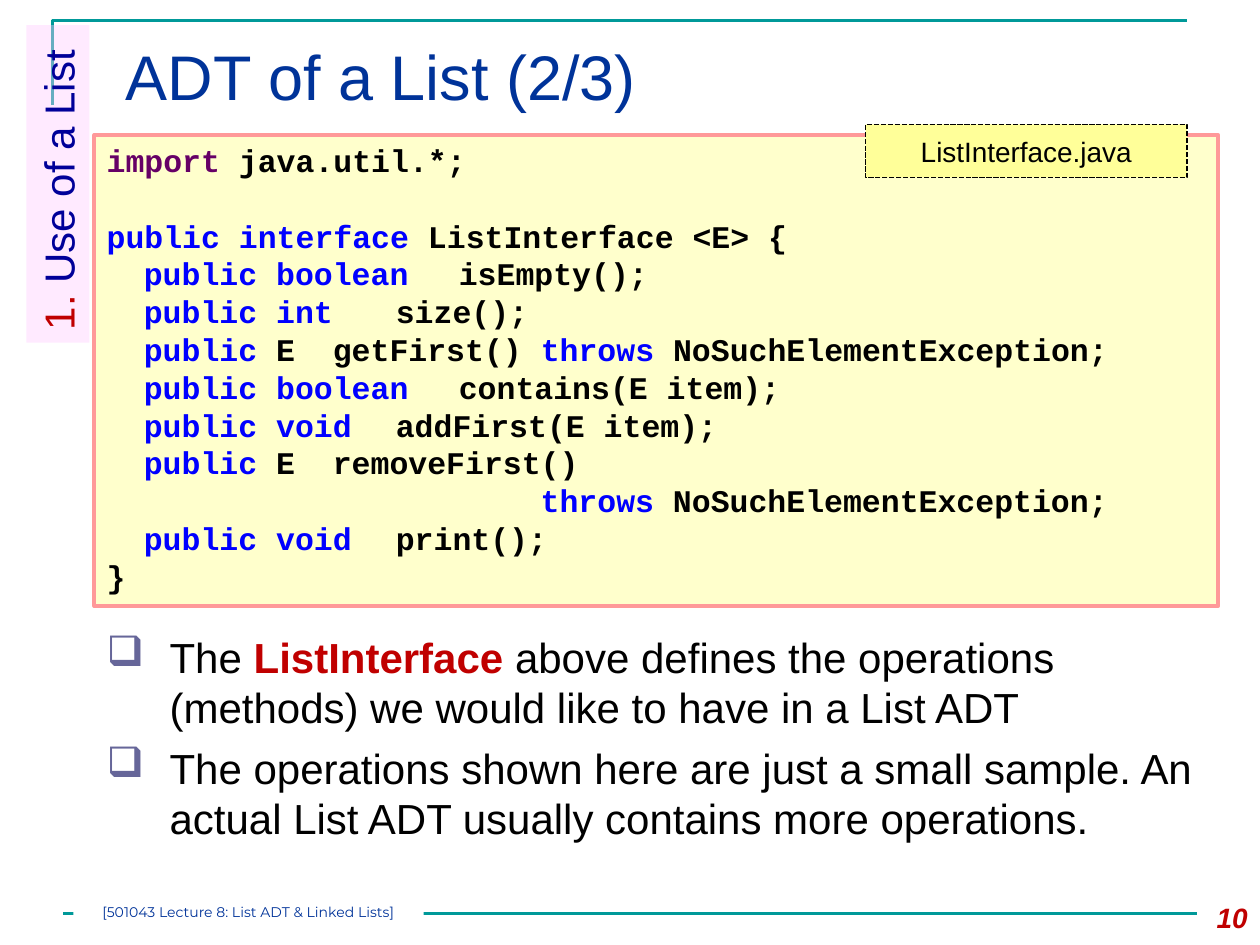
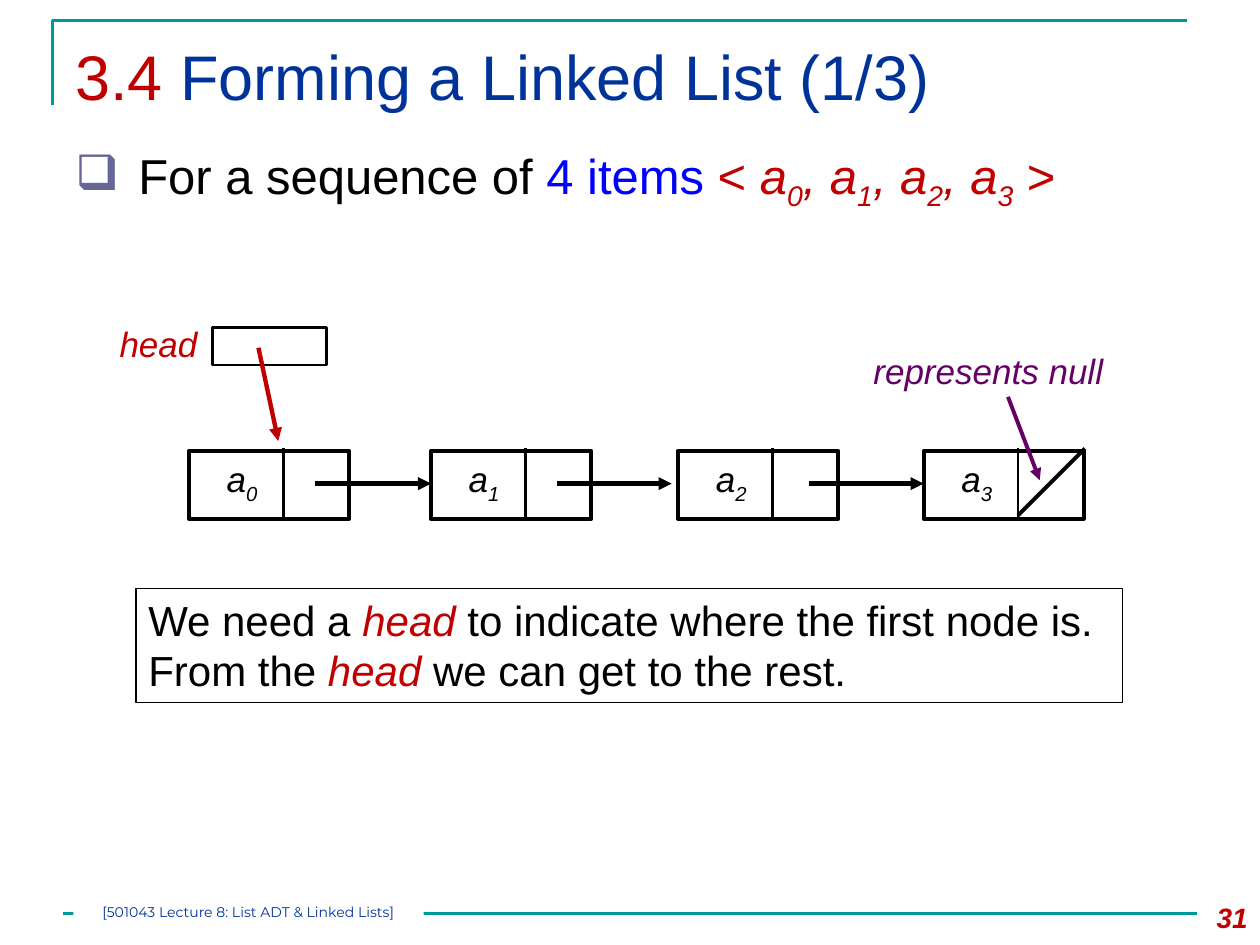
from lxml import etree
from pptx import Presentation
from pptx.dml.color import RGBColor as RGB
from pptx.enum.dml import MSO_LINE_DASH_STYLE as DASH
from pptx.enum.shapes import MSO_CONNECTOR as CONN, MSO_SHAPE as SHAPE
from pptx.enum.text import MSO_ANCHOR as ANCHOR, PP_ALIGN as ALIGN
from pptx.oxml.ns import qn
from pptx.util import Cm, Pt

TEAL = RGB(0x00, 0x99, 0x99)
NAVY = RGB(0x00, 0x33, 0x99)
DARK_BLUE = RGB(0x00, 0x00, 0x99)
BLUE = RGB(0x00, 0x00, 0xFF)
RED = RGB(0xC0, 0x00, 0x00)
PURPLE = RGB(0x66, 0x00, 0x66)
BLACK = RGB(0x00, 0x00, 0x00)
WHITE = RGB(0xFF, 0xFF, 0xFF)
PINK = RGB(0xFF, 0xCC, 0xFF)
SALMON = RGB(0xFF, 0x99, 0x99)
CREAM = RGB(0xFF, 0xFF, 0xCC)
YELLOW = RGB(0xFF, 0xFF, 0x99)
BULLET = RGB(0x66, 0x66, 0x99)

FOOTER = "[501043 Lecture 8: List ADT & Linked Lists]"
LEADING = 1.2          # line pitch as a multiple of the text size


# ---- Text: a run is (text, colour, flags); flags are b, i and _ (subscript)
def add_runs(p, runs, size, font="Arial"):
    p.line_spacing = Pt(size * LEADING)
    for text, color, *flags in runs:
        style = flags[0] if flags else ""
        r = p.add_run()
        r.text = text
        f = r.font
        f.name, f.size, f.color.rgb = font, Pt(size), color
        f.bold, f.italic = "b" in style, "i" in style
        if "_" in style:
            r._r.get_or_add_rPr().set("baseline", "-25000")


def fill_text(s, paragraphs, size, font="Arial", align=ALIGN.LEFT,
              anchor=ANCHOR.TOP, wrap=True):
    tf = s.text_frame
    tf.word_wrap, tf.vertical_anchor = wrap, anchor
    for i, runs in enumerate(paragraphs):
        p = tf.paragraphs[0] if i == 0 else tf.add_paragraph()
        p.alignment = align
        add_runs(p, runs, size, font)
    return tf


def add_text(s, x, y, w, h, paragraphs, size, **options):
    box = s.shapes.add_textbox(Cm(x), Cm(y), Cm(w), Cm(h))
    return fill_text(box, paragraphs, size, **options)


def add_bullets(s, x, y, w, h, paragraphs, size):
    tf = add_text(s, x, y, w, h, paragraphs, size)
    for i, p in enumerate(tf.paragraphs):
        p.space_before = Pt(6 if i else 0)
        pPr = p._p.get_or_add_pPr()
        pPr.set("marL", str(Cm(1.27)))
        pPr.set("indent", str(-Cm(1.27)))
        color = etree.SubElement(pPr, qn("a:buClr"))
        etree.SubElement(color, qn("a:srgbClr"), val=str(BULLET))
        etree.SubElement(pPr, qn("a:buChar"), char="❑")


# ---- Shapes and lines
def add_rect(s, x, y, w, h, fill=None, line=None, width=1.0):
    sp = s.shapes.add_shape(SHAPE.RECTANGLE, Cm(x), Cm(y), Cm(w), Cm(h))
    sp.shadow.inherit = False
    if fill is None:
        sp.fill.background()
    else:
        sp.fill.solid()
        sp.fill.fore_color.rgb = fill
    if line is None:
        sp.line.fill.background()
    else:
        sp.line.color.rgb, sp.line.width = line, Pt(width)
    return sp


def add_line(s, x1, y1, x2, y2, color, width, arrow=False):
    c = s.shapes.add_connector(CONN.STRAIGHT, Cm(x1), Cm(y1), Cm(x2), Cm(y2))
    c.line.color.rgb, c.line.width = color, Pt(width)
    if arrow:
        etree.SubElement(c.line._get_or_add_ln(), qn("a:tailEnd"),
                         type="triangle")
    etree.SubElement(c._element.spPr, qn("a:effectLst"))


# ---- What the slides share
def new_slide(prs, title, title_x, number):
    s = prs.slides.add_slide(prs.slide_layouts[6])
    # Corner frame
    fb = s.shapes.build_freeform(Cm(1.06), Cm(2.11))
    fb.add_line_segments([(Cm(1.06), Cm(0.42)), (Cm(23.92), Cm(0.42))],
                         close=False)
    frame = fb.convert_to_shape()
    frame.shadow.inherit = False
    frame.fill.background()
    frame.line.color.rgb, frame.line.width = TEAL, Pt(1.5)
    # Footer rule with its label, and the page number
    add_line(s, 1.27, 18.42, 24.13, 18.42, TEAL, 1.5)
    label = add_rect(s, 1.48, 18.21, 7.06, 0.51, fill=WHITE)
    tf = fill_text(label, [[(FOOTER, NAVY)]], 8, font="Montserrat",
                   align=ALIGN.CENTER)
    tf.margin_left = tf.margin_right = tf.margin_top = tf.margin_bottom = 0
    add_text(s, 23.7, 18.03, 1.7, 1.02, [[(str(number), RED, "bi")]], 16,
             align=ALIGN.RIGHT)
    add_text(s, title_x, 0.64, 22, 2.18, [title], 36)
    return s


# ---- Slide: the list interface
def add_section_tab(s):
    tab = add_rect(s, -2.03, 3.07, 6.4, 1.27, fill=PINK)
    color = tab.fill._xPr.find(qn("a:solidFill"))[0]
    etree.SubElement(color, qn("a:alpha"), val="40000")
    tab.rotation = 270
    fill_text(tab, [[("1. ", RED), ("Use of a List", DARK_BLUE)]], 24)


def add_code(s):
    error = [("throws", BLUE, "b"),
             (" NoSuchElementException;", BLACK, "b")]

    def method(keywords, signature, kind="", tail=()):
        return [(keywords, BLUE, "b"),
                (f"{kind}\t{signature}", BLACK, "b"), *tail]

    opening = [[("import", PURPLE, "b"), (" java.util.*;", BLACK, "b")],
               [("public interface ", BLUE, "b"),
                ("ListInterface <E> {", BLACK, "b")]]
    methods = [method("public boolean", "isEmpty();"),
               method("public int", "size();"),
               method("public", "getFirst() ", " E", error),
               method("public boolean", "contains(E item);"),
               method("public void", "addFirst(E item);"),
               method("public", "removeFirst()", " E"),
               error,
               method("public void", "print();")]
    box = add_rect(s, 1.9, 2.72, 22.66, 9.5, CREAM, SALMON, 2)
    tf = fill_text(box, opening + methods + [[("}", BLACK, "b")]], 18,
                   font="Courier New")
    tf.paragraphs[1].space_before = Pt(18 * LEADING)
    # Indent the methods and line up their names
    for p, runs in zip(tf.paragraphs[2:], methods):
        pPr = p._p.get_or_add_pPr()
        pPr.set("marL", str(Cm(8.75 if runs is error else 0.75)))
        pPr.set("indent", "0")
        tabs = etree.SubElement(pPr, qn("a:tabLst"))
        etree.SubElement(tabs, qn("a:tab"), pos=str(Cm(6.48)), algn="l")


def list_interface_slide(prs):
    s = new_slide(prs, [("ADT of a List (2/3)", NAVY)], 2.29, 10)
    add_section_tab(s)
    add_code(s)
    name = add_rect(s, 17.45, 2.51, 6.48, 1.07, YELLOW, BLACK, 1)
    name.line.dash_style = DASH.SQUARE_DOT
    fill_text(name, [[("ListInterface.java", BLACK)]], 16,
              align=ALIGN.CENTER, anchor=ANCHOR.MIDDLE)
    add_bullets(s, 1.9, 12.6, 22.45, 4.85, [
        [("The ", BLACK), ("ListInterface ", RED, "b"),
         ("above defines the operations (methods) we would like to have "
          "in a List ADT", BLACK)],
        [("The operations shown here are just a small sample. An actual "
          "List ADT usually contains more operations.", BLACK)]], 24)


# ---- Slide: the linked list
def add_node(s, x, index):
    add_rect(s, x, 9.09, 3.23, 1.37, line=BLACK, width=2.25)
    add_line(s, x + 1.9, 9.04, x + 1.9, 10.44, BLACK, 1.5)
    add_text(s, x + 0.51, 9.22, 1.17, 1.1,
             [[("a", BLACK, "i"), (str(index), BLACK, "i_")]], 20, wrap=False)


def linked_list_slide(prs):
    s = new_slide(prs, [("3.4 ", RED), ("Forming a Linked List (1/3)", NAVY)],
                  1.27, 31)
    # The sequence, with subscripts
    items = [("< ", RED)]
    for i in range(4):
        items += [("a" if i == 0 else ", a", RED, "i"), (str(i), RED, "i_")]
    add_bullets(s, 1.27, 2.97, 22.86, 2.11,
                [[("For a sequence of ", BLACK), ("4 items ", BLUE),
                  *items, (" >", RED)]], 28)
    # Nodes and the links between them
    nodes = [3.81, 8.69, 13.67, 18.62]
    for i, x in enumerate(nodes):
        add_node(s, x, i)
    for start, end in [(6.35, 8.69), (11.23, 13.54), (16.31, 18.62)]:
        add_line(s, start, 9.75, end, 9.75, BLACK, 2.5, arrow=True)
    # Head reference
    add_rect(s, 4.29, 6.6, 2.29, 0.76, line=BLACK, width=1.5)
    add_text(s, 2.16, 6.38, 2.08, 1.09, [[("head", RED, "i")]], 20, wrap=False)
    add_line(s, 5.21, 7.01, 5.61, 8.89, RED, 2.5, arrow=True)
    # Null mark in the last node
    add_line(s, 21.87, 9.04, 20.52, 10.39, BLACK, 2.25)
    add_text(s, 16.94, 6.93, 5.97, 1.12, [[("represents null", PURPLE, "i")]],
             20, align=ALIGN.CENTER)
    add_line(s, 20.32, 8, 20.96, 9.68, PURPLE, 2.25, arrow=True)
    # Remark
    remark = add_rect(s, 2.74, 11.86, 19.89, 2.31, line=BLACK, width=0.75)
    fill_text(remark, [[
        ("We need a ", BLACK), ("head", RED, "i"),
        (" to indicate where the first node is. From the ", BLACK),
        ("head", RED, "i"), (" we can get to the rest.", BLACK)]], 24)


def main():
    prs = Presentation()
    prs.slide_width, prs.slide_height = Cm(25.4), Cm(19.05)
    list_interface_slide(prs)
    linked_list_slide(prs)
    prs.save("out.pptx")


main()
